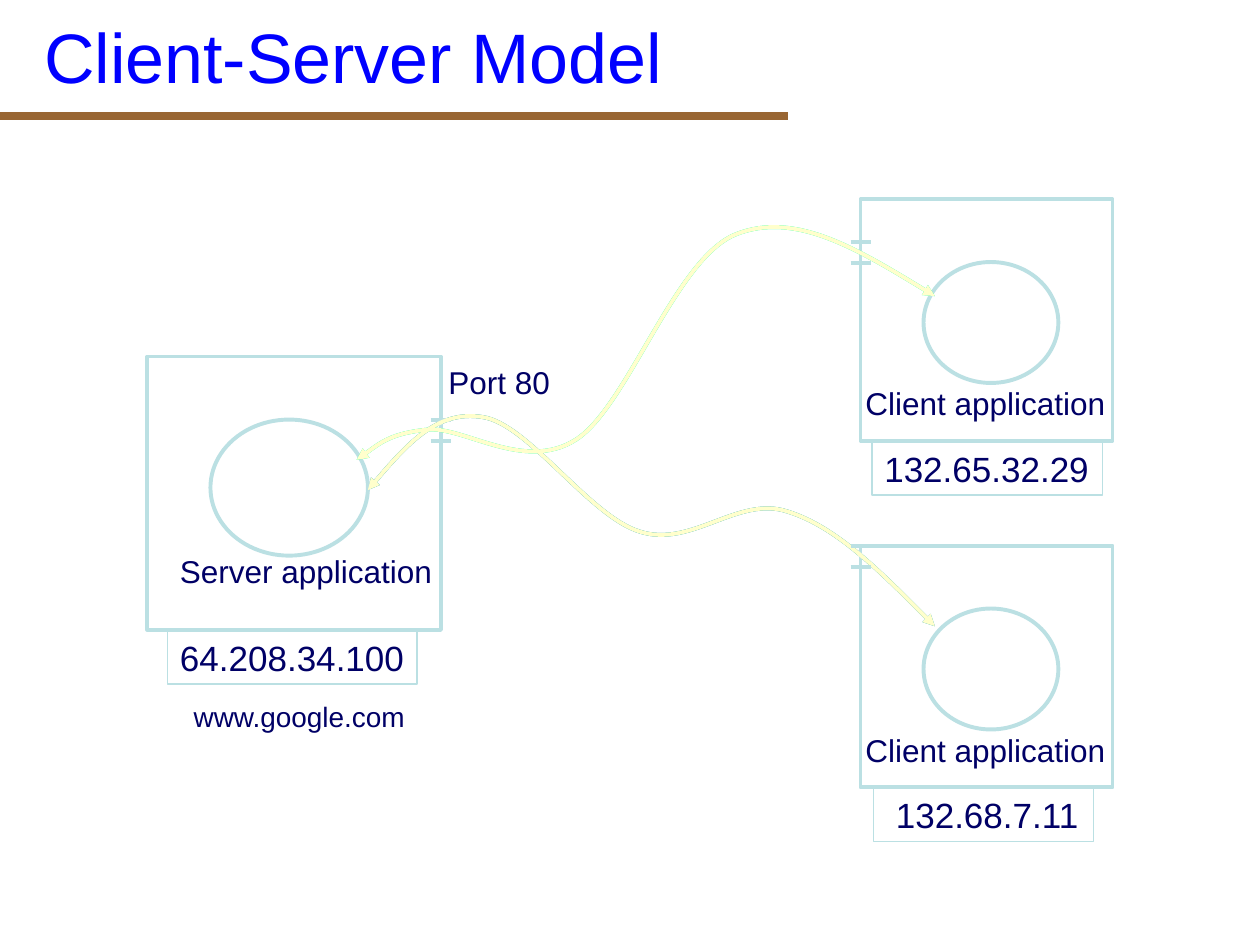
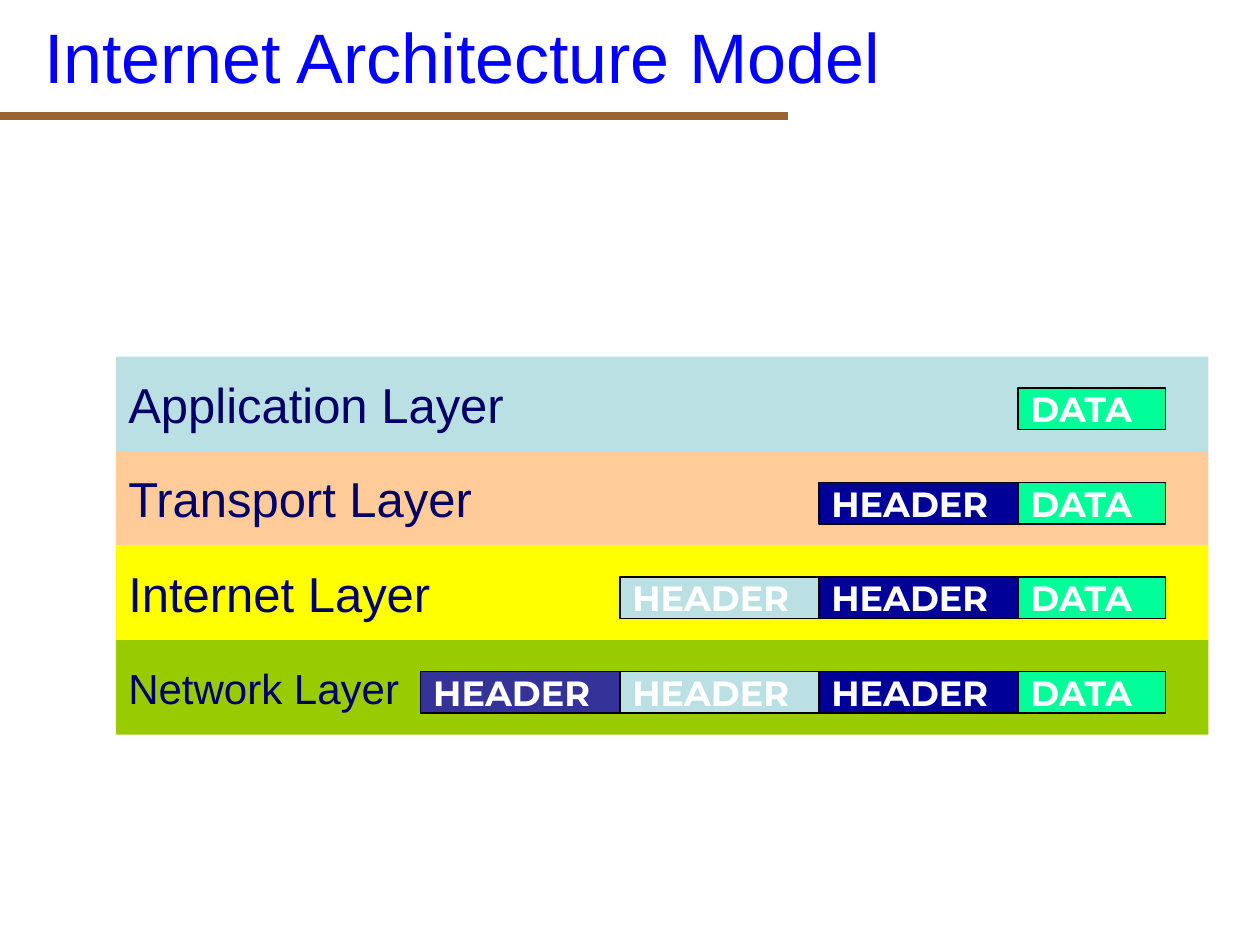
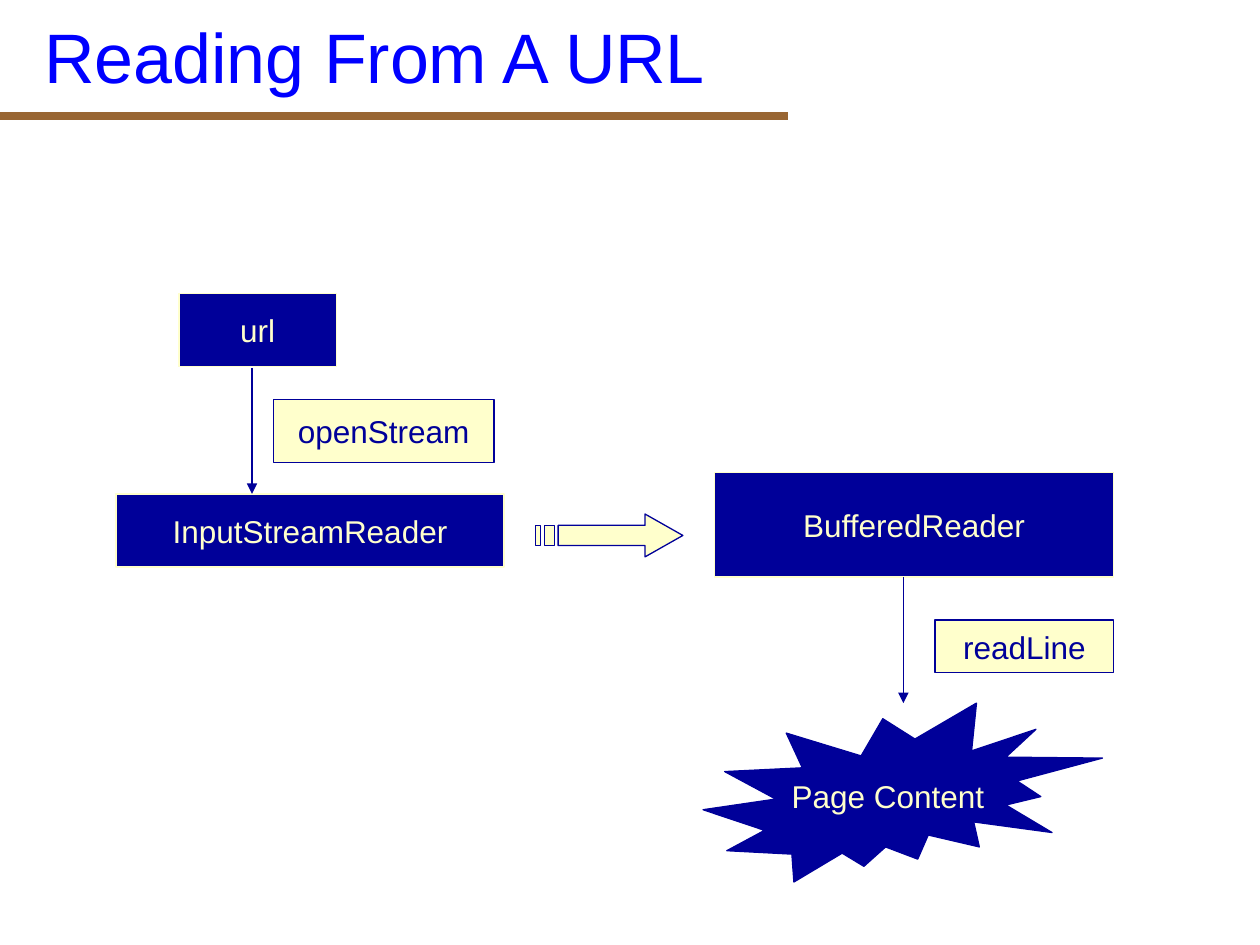
from dataclasses import dataclass
from typing import NamedTuple, Optional

from lxml.etree import SubElement
from pptx import Presentation
from pptx.dml.color import RGBColor
from pptx.enum.shapes import MSO_CONNECTOR, MSO_SHAPE
from pptx.enum.text import MSO_ANCHOR, MSO_AUTO_SIZE, PP_ALIGN
from pptx.oxml.ns import qn
from pptx.util import Inches, Pt

COLORS = {
    "title": "0000FF",
    "rule": "996633",
    "text": "000066",
    "navy": "000099",
    "indigo": "333399",
    "pale_blue": "BBE0E3",
    "cream": "FFFFCC",
    "mint": "00FF99",
    "teal": "009999",
    "peach": "FFCC99",
    "yellow": "FFFF00",
    "green": "99CC00",
    "black": "000000",
    "white": "FFFFFF",
}


class Style(NamedTuple):
    size: float
    color: str = "text"
    font: str = "Arial"
    bold: bool = False


TITLE = Style(40, "title")
LABEL = Style(18)
ADDRESS = Style(20)
PACKET = Style(20, "white", "Montserrat", True)


@dataclass
class Box:
    left: float
    top: float
    width: float
    height: float
    text: str = ""
    style: Style = LABEL
    fill: Optional[str] = None
    line: Optional[str] = None
    weight: float = 0.75
    kind: MSO_SHAPE = MSO_SHAPE.RECTANGLE
    align: PP_ALIGN = PP_ALIGN.LEFT
    inset: float = 0.1


class Host(NamedTuple):
    left: float
    top: float
    width: float
    height: float
    oval: tuple[float, float]
    name: Box
    address: Box


class Layer(NamedTuple):
    name: str
    fill: str
    size: float


Point = tuple[float, float]

SERVER = Host(1.17, 2.83, 2.33, 2.17, (1.25, 1.08),
              Box(1.33, 4.33, 2.2, 0.4, "Server application"),
              Box(1.33, 5, 1.98, 0.43, "64.208.34.100"))
CLIENTS = [
    Host(6.83, 1.58, 2, 1.92, (1.07, 0.96),
         Box(6.77, 3, 2.11, 0.4, "Client application"),
         Box(6.92, 3.5, 1.83, 0.43, "132.65.32.29")),
    Host(6.83, 4.33, 2, 1.92, (1.07, 0.96),
         Box(6.77, 5.75, 2.11, 0.4, "Client application"),
         Box(6.93, 6.25, 1.75, 0.43, "132.68.7.11", inset=0.18)),
]
# Each curve is a start point, then two control points and an end per segment.
UPPER_LINK = [
    (7.42, 2.35),
    (6.86, 2.01), (6.31, 1.67), (5.84, 1.86),
    (5.36, 2.05), (4.98, 3.23), (4.57, 3.49),
    (4.16, 3.75), (3.68, 3.38), (3.39, 3.41),
    (3.1, 3.44), (2.97, 3.55), (2.83, 3.65),
]
LOWER_LINK = [
    (7.42, 4.97),
    (7.03, 4.58), (6.64, 4.18), (6.25, 4.06),
    (5.86, 3.93), (5.49, 4.35), (5.08, 4.22),
    (4.68, 4.1), (4.19, 3.36), (3.83, 3.31),
    (3.47, 3.25), (3.19, 3.57), (2.92, 3.89),
]

LAYERS = [
    Layer("Application Layer", "pale_blue", 28),
    Layer("Transport Layer", "peach", 28),
    Layer("Internet Layer", "yellow", 28),
    Layer("Network Layer", "green", 24),
]
HEADERS = ["indigo", "pale_blue", "navy"]


def rgb(name: str) -> RGBColor:
    return RGBColor.from_string(COLORS[name])


def write(tf, text: str, style: Style, align=PP_ALIGN.LEFT) -> None:
    p = tf.paragraphs[0]
    p.alignment = align
    r = p.add_run()
    r.text = text
    r.font.name = style.font
    r.font.size = Pt(style.size)
    r.font.bold = style.bold
    r.font.color.rgb = rgb(style.color)


def set_line(sp, color: str, weight: float, *ends: str) -> None:
    """Style an outline; ends names the headEnd or tailEnd arrows it carries."""
    sp.line.color.rgb = rgb(color)
    sp.line.width = Pt(weight)
    ln = sp.element.spPr.find(qn("a:ln"))
    for end in ends:
        SubElement(ln, qn(f"a:{end}"), type="triangle")


def set_fill(sp, color: Optional[str]) -> None:
    if color:
        sp.fill.solid()
        sp.fill.fore_color.rgb = rgb(color)
    else:
        sp.fill.background()


def draw_box(shapes, box: Box, anchor=MSO_ANCHOR.MIDDLE) -> None:
    place = [Inches(v) for v in (box.left, box.top, box.width, box.height)]
    if box.fill or box.line:
        sp = shapes.add_shape(box.kind, *place)
        sp.shadow.inherit = False
        set_fill(sp, box.fill)
        if box.line:
            set_line(sp, box.line, box.weight)
        else:
            sp.line.fill.background()
    else:
        sp = shapes.add_textbox(*place)
    if box.text:
        tf = sp.text_frame
        tf.word_wrap = False
        tf.vertical_anchor = anchor
        tf.margin_left = Inches(box.inset)
        write(tf, box.text, box.style, box.align)


def draw_line(shapes, start: Point, end: Point, color: str, weight: float,
              *ends: str) -> None:
    cx = shapes.add_connector(MSO_CONNECTOR.STRAIGHT,
                              *[Inches(v) for v in (*start, *end)])
    set_line(cx, color, weight, *ends)
    SubElement(cx.element.spPr, qn("a:effectLst"))


def emu(points: list[Point]) -> list[tuple[int, int]]:
    return [(Inches(x), Inches(y)) for x, y in points]


def draw_curve(shapes, points: list[Point], color: str) -> None:
    """Draw a two-headed Bezier curve by folding line triples into cubics."""
    start, *rest = emu(points)
    builder = shapes.build_freeform(*start)
    builder.add_line_segments(rest, close=False)
    sp = builder.convert_to_shape()
    sp.shadow.inherit = False
    set_fill(sp, None)
    set_line(sp, color, 2.25, "headEnd", "tailEnd")
    outline = next(sp.element.iter(qn("a:path")))
    segments = outline.findall(qn("a:lnTo"))
    for i in range(0, len(segments), 3):
        cubic = SubElement(outline, qn("a:cubicBezTo"))
        for segment in segments[i:i + 3]:
            cubic.append(segment[0])
            outline.remove(segment)


def draw_striped_arrow(shapes) -> None:
    head = [(5.12, 4.08), (5.12, 4.17), (4.43, 4.17), (4.43, 4.33),
            (5.12, 4.33), (5.12, 4.42), (5.42, 4.25)]
    stripes = [[(x, 4.17), (x, 4.33), (x + w, 4.33), (x + w, 4.17)]
               for x, w in ((4.32, 0.08), (4.25, 0.04))]
    start, *rest = emu(head)
    builder = shapes.build_freeform(*start)
    builder.add_line_segments(rest)
    for stripe in stripes:
        start, *rest = emu(stripe)
        builder.move_to(*start)
        builder.add_line_segments(rest)
    sp = builder.convert_to_shape()
    sp.shadow.inherit = False
    set_fill(sp, "cream")
    set_line(sp, "navy", 0.75)


def add_titled_slide(prs, title: str):
    slide = prs.slides.add_slide(prs.slide_layouts[5])
    draw_line(slide.shapes, (0, 0.92), (6.25, 0.92), "rule", 4.5)
    sp = slide.shapes.title
    sp.left, sp.top, sp.width, sp.height = (
        Inches(v) for v in (0.25, -0.02, 9.5, 0.92))
    tf = sp.text_frame
    tf.auto_size = MSO_AUTO_SIZE.NONE
    tf.vertical_anchor = MSO_ANCHOR.MIDDLE
    write(tf, title, TITLE)
    return slide


def draw_host(shapes, host: Host) -> None:
    outline = dict(line="pale_blue", weight=2.25)
    draw_box(shapes, Box(host.left, host.top, host.width, host.height, **outline))
    draw_box(shapes, Box(host.left + 0.5, host.top + 0.5, *host.oval,
                         kind=MSO_SHAPE.OVAL, **outline))
    host.address.line = "pale_blue"
    host.address.style = ADDRESS
    for box in (host.address, host.name):
        draw_box(shapes, box, MSO_ANCHOR.TOP)


def draw_port(shapes, x: float, top: float) -> None:
    """Mark a port by two ticks across a host's side at x."""
    for y in (top, top + 0.17):
        draw_line(shapes, (x - 0.08, y), (x + 0.08, y), "pale_blue", 2.25)


def build_client_server(prs) -> None:
    shapes = add_titled_slide(prs, "Client-Server Model").shapes
    draw_curve(shapes, LOWER_LINK, "teal")
    for host in (SERVER, *CLIENTS):
        draw_host(shapes, host)
    draw_port(shapes, SERVER.left + SERVER.width, 3.33)
    draw_box(shapes, Box(3.46, 2.83, 1.01, 0.4, "Port 80"), MSO_ANCHOR.TOP)
    draw_box(shapes, Box(1.43, 5.5, 1.89, 0.37, "www.google.com", Style(16),
                         align=PP_ALIGN.CENTER), MSO_ANCHOR.TOP)
    draw_curve(shapes, UPPER_LINK, "mint")
    draw_curve(shapes, LOWER_LINK, "cream")
    for client, port_top in zip(CLIENTS, (1.92, 4.33)):
        draw_port(shapes, client.left, port_top)
    draw_curve(shapes, UPPER_LINK, "cream")


def build_architecture(prs) -> None:
    slide = add_titled_slide(prs, "Internet Architecture Model")
    data_left, header_step = 8.08, 1.58
    for i, layer in enumerate(LAYERS):
        shapes = slide.shapes.add_group_shape().shapes
        top = 2.83 + 0.75 * i
        draw_box(shapes, Box(0.92, top, 8.67, 0.75, layer.name,
                             Style(layer.size), layer.fill))
        for j, fill in enumerate(HEADERS[len(HEADERS) - i:]):
            left = data_left - header_step * (i - j)
            draw_box(shapes, Box(left, top + 0.25, 1.67, 0.33, "HEADER",
                                 PACKET, fill, "black"))
        draw_box(shapes, Box(data_left, top + 0.25, 1.17, 0.33, "DATA",
                             PACKET, "mint", "black"))


def draw_step(shapes, left: float, top: float, width: float, height: float,
              text: str, ink="cream", fill="navy", line="cream",
              kind=MSO_SHAPE.RECTANGLE) -> None:
    draw_box(shapes, Box(left, top, width, height, text, Style(18, ink), fill,
                         line, kind=kind, align=PP_ALIGN.CENTER))


def build_url_reading(prs) -> None:
    slide = add_titled_slide(prs, "Reading From A URL")
    method = dict(ink="navy", fill="cream", line="navy")
    draw_step(slide.shapes, 1.42, 2.33, 1.25, 0.58, "url")

    opening = slide.shapes.add_group_shape().shapes
    draw_step(opening, 0.92, 3.92, 3.08, 0.58, "InputStreamReader")
    draw_line(opening, (2, 2.92), (2, 3.92), "navy", 0.75, "tailEnd")
    draw_step(opening, 2.17, 3.17, 1.75, 0.5, "openStream", **method)

    buffering = slide.shapes.add_group_shape().shapes
    draw_step(buffering, 5.67, 3.75, 3.17, 0.83, "BufferedReader")
    draw_striped_arrow(buffering)

    reading = slide.shapes.add_group_shape().shapes
    draw_line(reading, (7.17, 4.58), (7.17, 5.58), "navy", 0.75, "tailEnd")
    draw_step(reading, 7.42, 4.92, 1.42, 0.42, "readLine", **method)
    draw_step(reading, 5.58, 5.58, 3.17, 1.42, "Page Content", line="navy",
              kind=MSO_SHAPE.EXPLOSION2)


def main() -> None:
    prs = Presentation()
    prs.slide_width, prs.slide_height = Inches(10), Inches(7.5)
    build_client_server(prs)
    build_architecture(prs)
    build_url_reading(prs)
    prs.save("out.pptx")


if __name__ == "__main__":
    main()
